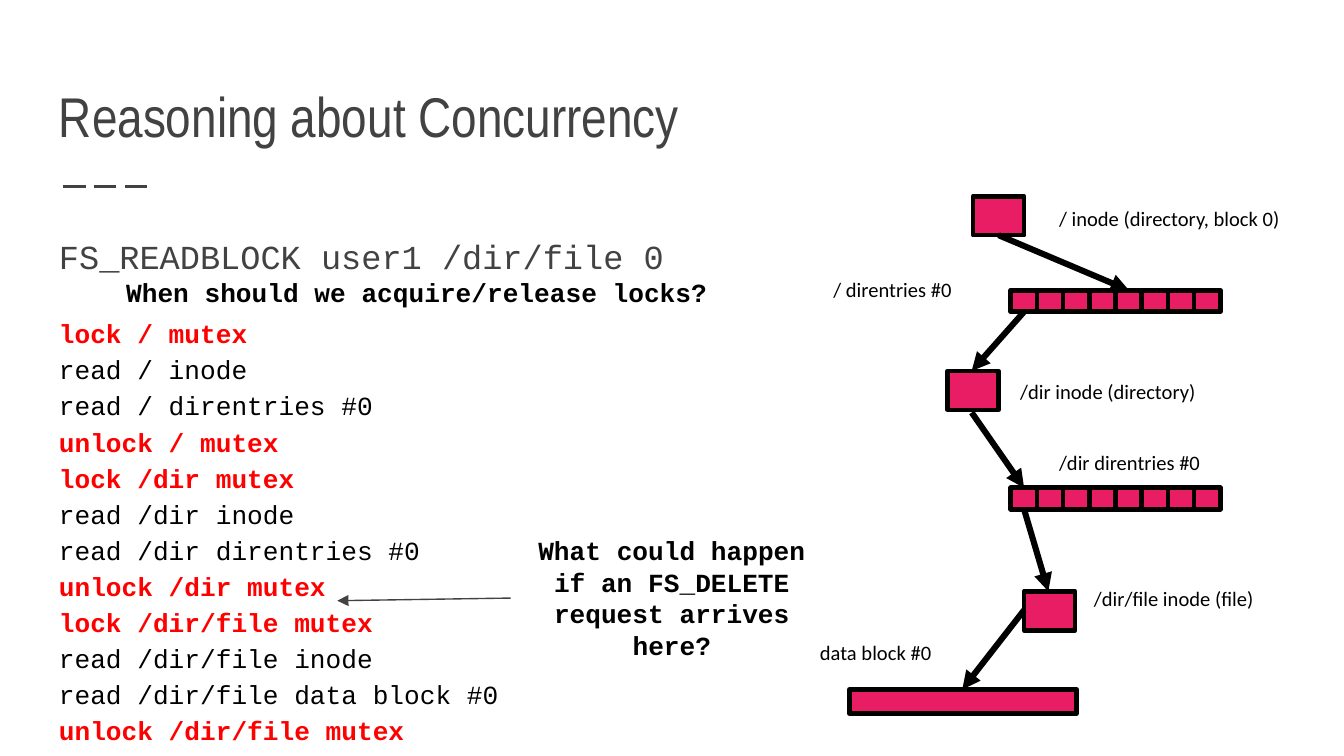
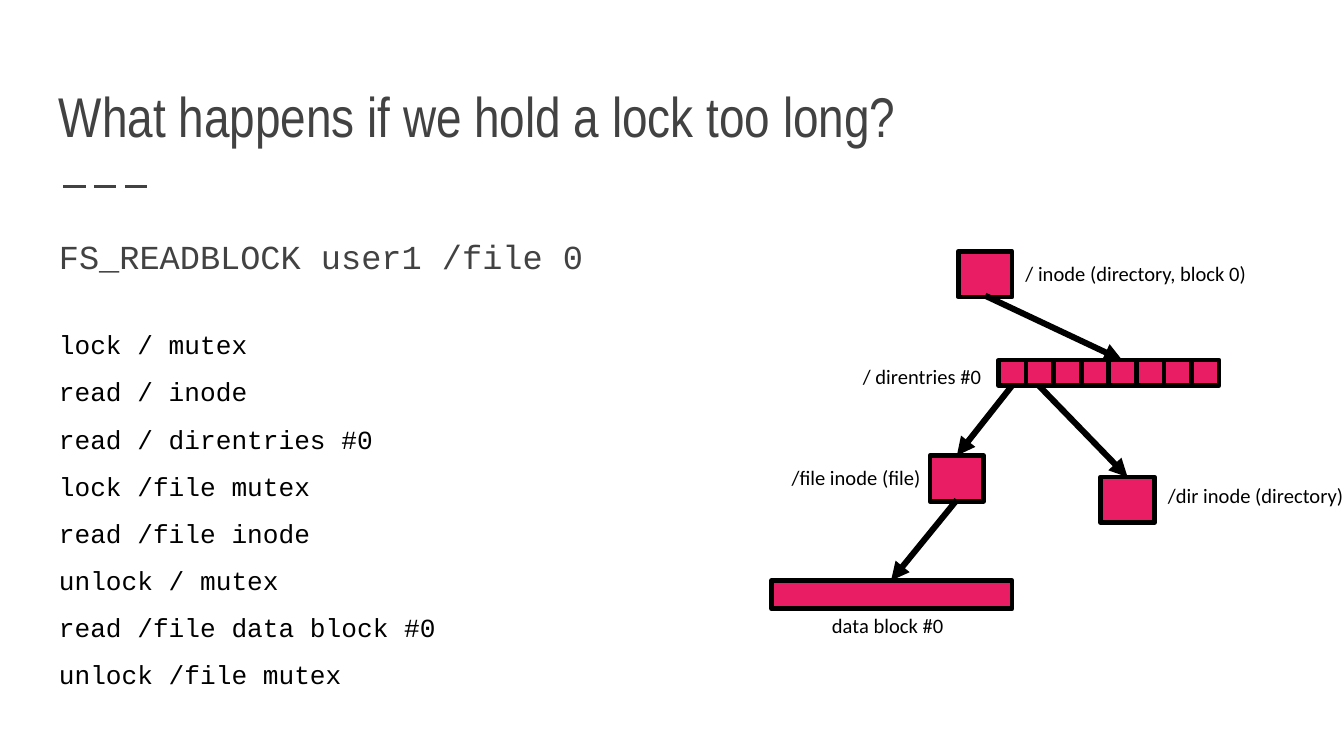
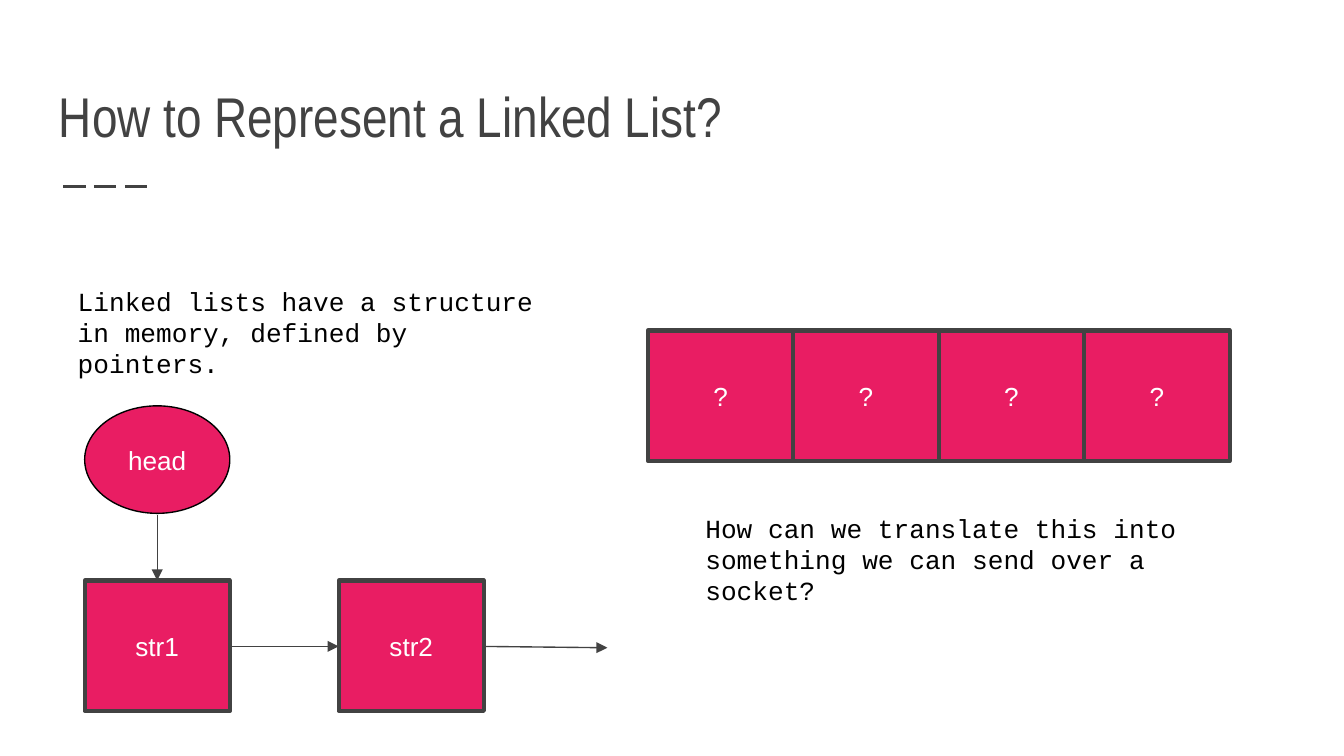
from lxml import etree
from pptx import Presentation
from pptx import util as u
from pptx.dml.color import RGBColor
from pptx.enum import dml, shapes, text
from pptx.oxml.ns import qn

INK = RGBColor(0x42, 0x42, 0x42)
BLACK = RGBColor(0, 0, 0)
WHITE = RGBColor(255, 255, 255)
RED = RGBColor(255, 0, 0)
PINK = RGBColor(0xE9, 0x1D, 0x63)

TITLE_FONT, CODE_FONT, LABEL_FONT, NODE_FONT = "Arial Narrow", "Courier New", "Calibri", "Arial"
WIDE_INSETS, SLIM_INSETS = (0.1, 0.1), (0.07, 0.04)
RECTANGLE, OVAL = shapes.MSO_SHAPE.RECTANGLE, shapes.MSO_SHAPE.OVAL
CENTER = text.PP_ALIGN.CENTER
DIRENTRY_COUNT = 8

CONCURRENCY = {
    "title": "Reasoning about Concurrency",
    "request": "FS_READBLOCK user1 /dir/file 0",
    "request_box": (0.34, 1.61, 9.32, 3.94),
    "steps": [
        "lock / mutex", "read / inode", "read / direntries #0", "unlock / mutex",
        "lock /dir mutex", "read /dir inode", "read /dir direntries #0", "unlock /dir mutex",
        "lock /dir/file mutex", "read /dir/file inode", "read /dir/file data block #0",
        "unlock /dir/file mutex",
    ],
    "steps_height": 3.42, "spacing": 1.15, "mutex_color": RED, "mutex_bold": True,
    "inode_size": (0.38, 0.29),
    "inodes": [(7.24, 1.46), (7.05, 2.76), (7.62, 4.4)],
    "direntries": [(7.52, 2.16, 1.56, 0.16), (7.52, 3.63, 1.56, 0.16)],
    "data_block": (6.32, 5.13, 1.69, 0.18),
    "pointers": [
        ((7.43, 1.75), (8.4, 2.16)), ((7.62, 2.32), (7.23, 2.76)), ((7.23, 3.07), (7.62, 3.63)),
        ((7.62, 3.79), (7.8, 4.4)), ((7.62, 4.54), (7.16, 5.13)),
    ],
    "labels": [
        ("/ inode (directory, block 0)", (7.81, 1.49, 2.5, 0.24)),
        ("/ direntries #0", (6.13, 2.02, 1.29, 0.45)),
        ("/dir inode (directory)", (7.52, 2.78, 2.05, 0.24)),
        ("/dir direntries #0", (7.81, 3.31, 2.16, 0.24)),
        ("/dir/file inode (file)", (8.07, 4.32, 2.16, 0.45)),
        ("data block #0", (6.03, 4.72, 1.29, 0.24)),
    ],
}
LOCK_QUESTION = "When should we acquire/release locks?"
DELETE_QUESTION = "What could happen if an FS_DELETE request arrives here?"

LONG_LOCK = {
    "title": "What happens if we hold a lock too long?",
    "request": "FS_READBLOCK user1 /file 0",
    "request_box": (0.34, 1.61, 4.66, 3.39),
    "steps": [
        "lock / mutex", "read / inode", "read / direntries #0", "lock /file mutex",
        "read /file inode", "unlock / mutex", "read /file data block #0", "unlock /file mutex",
    ],
    "steps_height": 2.91, "spacing": 1.5, "mutex_color": BLACK, "mutex_bold": False,
    "inode_size": (0.4, 0.34),
    "inodes": [(7.13, 1.87), (6.92, 3.39), (8.19, 3.55)],
    "direntries": [(7.43, 2.68, 1.64, 0.19)],
    "data_block": (5.74, 4.32, 1.79, 0.21),
    "pointers": [
        ((7.33, 2.2), (8.35, 2.68)), ((7.53, 2.87), (7.12, 3.39)),
        ((7.12, 3.72), (6.63, 4.32)), ((7.73, 2.87), (8.39, 3.55)),
    ],
    "labels": [
        ("/ inode (directory, block 0)", (7.56, 1.9, 2.65, 0.28)),
        ("/ direntries #0", (6.35, 2.67, 1.37, 0.52)),
        ("/file inode (file)", (5.82, 3.42, 1.64, 0.28)),
        ("/dir inode (directory)", (8.62, 3.55, 2.28, 0.28)),
        ("data block #0", (6.12, 4.52, 1.37, 0.28)),
    ],
}

LIST_TITLE = "How to Represent a Linked List?"
LIST_NODES = [
    (OVAL, "head", (0.63, 3.02, 1.08, 0.8), BLACK, 0.75),
    (RECTANGLE, "str1", (0.63, 4.32, 1.08, 0.97), INK, 2.25),
    (RECTANGLE, "str2", (2.52, 4.32, 1.08, 0.97), INK, 2.25),
]
LIST_POINTERS = [((1.17, 3.83), (1.17, 4.32)), ((1.72, 4.81), (2.52, 4.81)), ((3.6, 4.81), (4.52, 4.82))]
MESSAGE_ROW = (4.82, 2.46, 4.33, 0.97)
MESSAGE_CELLS = ["?"] * 4
LIST_NOTES = [
    ("Linked lists have a structure in memory, defined by pointers.", (0.48, 2.02, 3.81, 0.72)),
    ("How can we translate this into something we can send over a socket?", (5.15, 3.71, 4.3, 0.72)),
]


def inches(box):
    return [u.Inches(length) for length in box]


def fill_frame(frame, lines, font, size, insets=WIDE_INSETS, anchor=text.MSO_ANCHOR.TOP,
               align=None, spacing=None):
    frame.word_wrap = True
    frame.vertical_anchor = anchor
    frame.margin_left = frame.margin_right = u.Inches(insets[0])
    frame.margin_top = frame.margin_bottom = u.Inches(insets[1])
    for index, (words, color, bold) in enumerate(lines):
        paragraph = frame.add_paragraph() if index else frame.paragraphs[0]
        paragraph.alignment = align
        paragraph.line_spacing = spacing
        run = paragraph.add_run()
        run.text = words
        run.font.name, run.font.size, run.font.bold = font, u.Pt(size), bold
        run.font.color.rgb = color


def add_text(slide, lines, box, font=CODE_FONT, size=14, **options):
    fill_frame(slide.shapes.add_textbox(*inches(box)).text_frame, lines, font, size, **options)


def add_box(slide, box, line_color=BLACK, line_width=2.5, kind=RECTANGLE, words=None):
    shape = slide.shapes.add_shape(kind, *inches(box))
    shape.shadow.inherit = False
    shape.fill.solid()
    shape.fill.fore_color.rgb = PINK
    shape.line.color.rgb = line_color
    shape.line.width = u.Pt(line_width)
    if words:
        fill_frame(shape.text_frame, [(words, WHITE, False)], NODE_FONT, 14,
                   anchor=text.MSO_ANCHOR.MIDDLE, align=CENTER)


def split_row(row, count):
    left, top, width, height = row
    step = width / count
    return [(left + index * step, top, step, height) for index in range(count)]


def add_line(slide, start, end, color=INK, width=0.75, arrow=True):
    connector = slide.shapes.add_connector(shapes.MSO_CONNECTOR.STRAIGHT, *inches(start + end))
    connector.line.color.rgb = color
    connector.line.width = u.Pt(width)
    properties = connector._element.spPr
    if arrow:
        etree.SubElement(properties.find(qn("a:ln")), qn("a:tailEnd"), type="triangle")
    etree.SubElement(properties, qn("a:effectLst"))
    return connector


def add_titled_slide(presentation, title):
    slide = presentation.slides.add_slide(presentation.slide_layouts[6])
    rule = add_line(slide, (0.47, 1.39), (1.14, 1.39), width=1.5, arrow=False)
    rule.line.dash_style = dml.MSO_LINE.LONG_DASH
    add_text(slide, [(title, INK, False)], (0.34, 0.41, 9.32, 0.8), TITLE_FONT, 30,
             anchor=text.MSO_ANCHOR.BOTTOM)
    return slide


def add_locking_slide(presentation, content):
    slide = add_titled_slide(presentation, content["title"])
    add_text(slide, [(content["request"], INK, False)], content["request_box"], size=18, spacing=1.15)
    for corner in content["inodes"]:
        add_box(slide, corner + content["inode_size"])
    for row in content["direntries"]:
        for cell in split_row(row, DIRENTRY_COUNT):
            add_box(slide, cell)
    add_box(slide, content["data_block"])
    for start, end in content["pointers"]:
        add_line(slide, start, end, BLACK, 3.25)
    for words, box in content["labels"]:
        add_text(slide, [(words, BLACK, False)], box, LABEL_FONT, 11, insets=SLIM_INSETS)
    mutex_style = (content["mutex_color"], content["mutex_bold"])
    steps = [(step, *(mutex_style if step.endswith("mutex") else (BLACK, False)))
             for step in content["steps"]]
    add_text(slide, steps, (0.34, 2.23, 5.44, content["steps_height"]), spacing=content["spacing"])
    return slide


def add_linked_list_slide(presentation):
    slide = add_titled_slide(presentation, LIST_TITLE)
    for kind, words, box, line_color, line_width in LIST_NODES:
        add_box(slide, box, line_color, line_width, kind, words)
    for start, end in LIST_POINTERS:
        add_line(slide, start, end)
    for words, cell in zip(MESSAGE_CELLS, split_row(MESSAGE_ROW, len(MESSAGE_CELLS))):
        add_box(slide, cell, INK, 2.25, words=words)
    for words, box in LIST_NOTES:
        add_text(slide, [(words, BLACK, False)], box)


def main():
    presentation = Presentation()
    presentation.slide_width = u.Inches(10)
    presentation.slide_height = u.Inches(10 * 9 / 16)
    slide = add_locking_slide(presentation, CONCURRENCY)
    add_text(slide, [(LOCK_QUESTION, BLACK, True)], (0.84, 1.96, 4.79, 0.44))
    add_text(slide, [(DELETE_QUESTION, BLACK, True)], (3.8, 3.88, 2.4, 1.14), align=CENTER)
    add_line(slide, (3.8, 4.45), (2.51, 4.47))
    add_locking_slide(presentation, LONG_LOCK)
    add_linked_list_slide(presentation)
    presentation.save("out.pptx")


if __name__ == "__main__":
    main()
